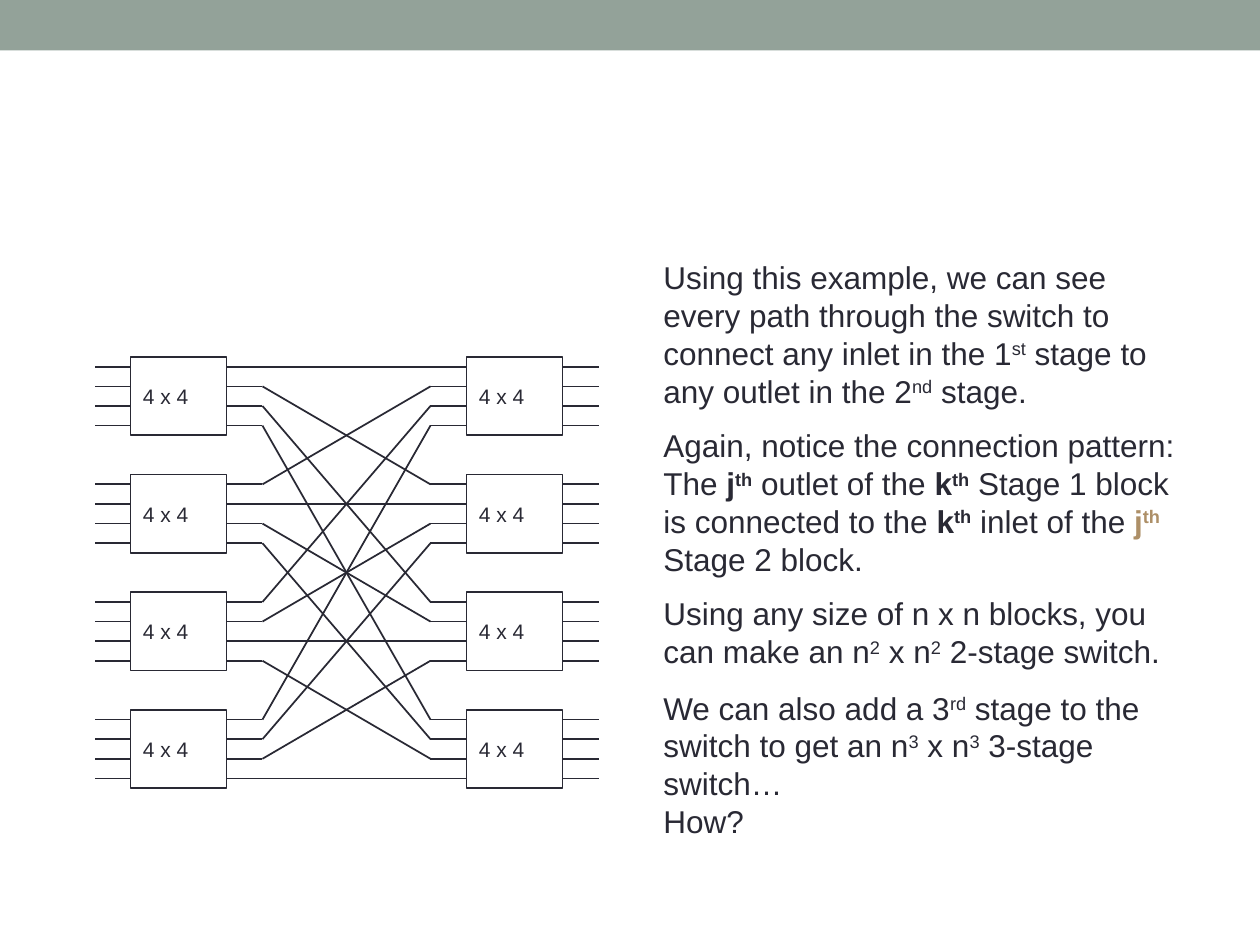
from lxml import etree
from pptx import Presentation
from pptx.dml.color import RGBColor
from pptx.enum import shapes, text
from pptx.oxml import ns
from pptx.util import Pt

INK = RGBColor(0x29, 0x29, 0x34)
SAGE = RGBColor(0x93, 0xA2, 0x99)
TAN = RGBColor(0xAD, 0x8F, 0x67)
WHITE = RGBColor(0xFF, 0xFF, 0xFF)

SIZE = 4
LEAD, BLOCK_WIDTH, BLOCK_HEIGHT = 20.57, 54.86, 44.8
STAGE_WIDTH, STAGE_PITCH, BLOCK_PITCH = 96, 192, 67.2
PIN_PITCH = BLOCK_HEIGHT / SIZE

STYLES = {
    "plain": {},
    "bold": {"bold": True},
    "accent": {"bold": True, "color": TAN},
}

NOTES = [
    ((372, 144, 294, 94), [
        [("Using this example, we can see every path through the switch to connect any inlet in the 1^st", "plain"),
         (" stage to any outlet in the 2^nd", "plain"), (" stage.", "plain")],
    ]),
    ((372, 240, 312, 94), [
        [("Again, notice the connection pattern:", "plain")],
        [("The ", "plain"), ("j^th", "bold"), (" outlet of the ", "plain"), ("k^th", "bold"),
         (" Stage 1 block is connected to the ", "plain"), ("k^th", "bold"),
         (" inlet of the ", "plain"), ("j^th", "accent"), (" Stage 2 block.", "plain")],
    ]),
    ((372, 336, 300, 51), [
        [("Using any size of n x n blocks, you can make an n^2", "plain"),
         (" x n^2", "plain"), (" 2-stage switch.", "plain")],
    ]),
    ((372, 390, 312, 94), [
        [("We can also add a 3^rd", "plain"), (" stage to the switch to get an n^3", "plain"),
         (" x n^3", "plain"), (" 3-stage switch…", "plain")],
        [("How?", "plain")],
    ]),
]


def add_span(para, words, size, bold=False, color=INK, raised=False):
    """Add a formatted run, raised as a superscript if asked."""
    span = para.add_run()
    span.text = words
    for name, value in {"name": "Arial", "size": Pt(size), "bold": bold}.items():
        setattr(span.font, name, value)
    span.font.color.rgb = color
    if raised:
        span._r.get_or_add_rPr().set("baseline", "30000")


def add_wire(group, x1, y1, x2, y2):
    """Draw a straight wire between two points."""
    wire = group.shapes.add_connector(
        shapes.MSO_CONNECTOR.STRAIGHT, Pt(x1), Pt(y1), Pt(x2), Pt(y2))
    wire.line.color.rgb = INK
    wire.line.width = Pt(1)
    etree.SubElement(wire._element.spPr, ns.qn("a:effectLst"))


def add_rectangle(parent, box, fill):
    """Add a filled rectangle without shadow or outline."""
    rectangle = parent.shapes.add_shape(
        shapes.MSO_SHAPE.RECTANGLE, *(Pt(value) for value in box))
    rectangle.shadow.inherit = False
    rectangle.fill.solid()
    rectangle.fill.fore_color.rgb = fill
    rectangle.line.fill.background()
    return rectangle


def pin_y(top, block, pin):
    """Return the height of one pin of one block."""
    return top + block * BLOCK_PITCH + (pin + 0.5) * PIN_PITCH


def add_block(group, left, top, block):
    """Draw one switch block with its inlets and outlets."""
    for pin in range(SIZE):
        y = pin_y(top, block, pin)
        add_wire(group, left + LEAD, y, left, y)
        add_wire(group, left + STAGE_WIDTH, y, left + STAGE_WIDTH - LEAD, y)
    box = (left + LEAD, top + block * BLOCK_PITCH, BLOCK_WIDTH, BLOCK_HEIGHT)
    rectangle = add_rectangle(group, box, WHITE)
    rectangle.line.color.rgb = INK
    rectangle.line.width = Pt(1)
    frame = rectangle.text_frame
    frame.word_wrap = False
    frame.vertical_anchor = text.MSO_ANCHOR.MIDDLE
    para = frame.paragraphs[0]
    para.alignment = text.PP_ALIGN.LEFT
    add_span(para, f"{SIZE} x {SIZE}", 12)


def add_switch(page, left, top):
    """Draw the two stages and the links between them."""
    group = page.shapes.add_group_shape()
    for stage in range(2):
        for block in range(SIZE):
            add_block(group, left + stage * STAGE_PITCH, top, block)
    for block in range(SIZE):
        for pin in range(SIZE):
            add_wire(group, left + STAGE_WIDTH, pin_y(top, block, pin),
                     left + STAGE_PITCH, pin_y(top, pin, block))


def add_note(page, box, paragraphs):
    """Add a text box, with a caret before each superscript."""
    frame = page.shapes.add_textbox(*(Pt(value) for value in box)).text_frame
    frame.word_wrap = True
    frame.auto_size = text.MSO_AUTO_SIZE.SHAPE_TO_FIT_TEXT
    for index, spans in enumerate(paragraphs):
        para = frame.add_paragraph() if index else frame.paragraphs[0]
        for words, style in spans:
            base, _, raised = words.partition("^")
            add_span(para, base, 18, **STYLES[style])
            if raised:
                add_span(para, raised, 18, raised=True, **STYLES[style])


def main():
    """Build and save the slide."""
    deck = Presentation()
    deck.slide_width, deck.slide_height = Pt(720), Pt(540)
    page = deck.slides.add_slide(deck.slide_layouts[6])
    add_rectangle(page, (0, 0, 720, 28.8), SAGE)
    add_switch(page, 54, 204)
    for box, paragraphs in NOTES:
        add_note(page, box, paragraphs)
    deck.save("out.pptx")


if __name__ == "__main__":
    main()
